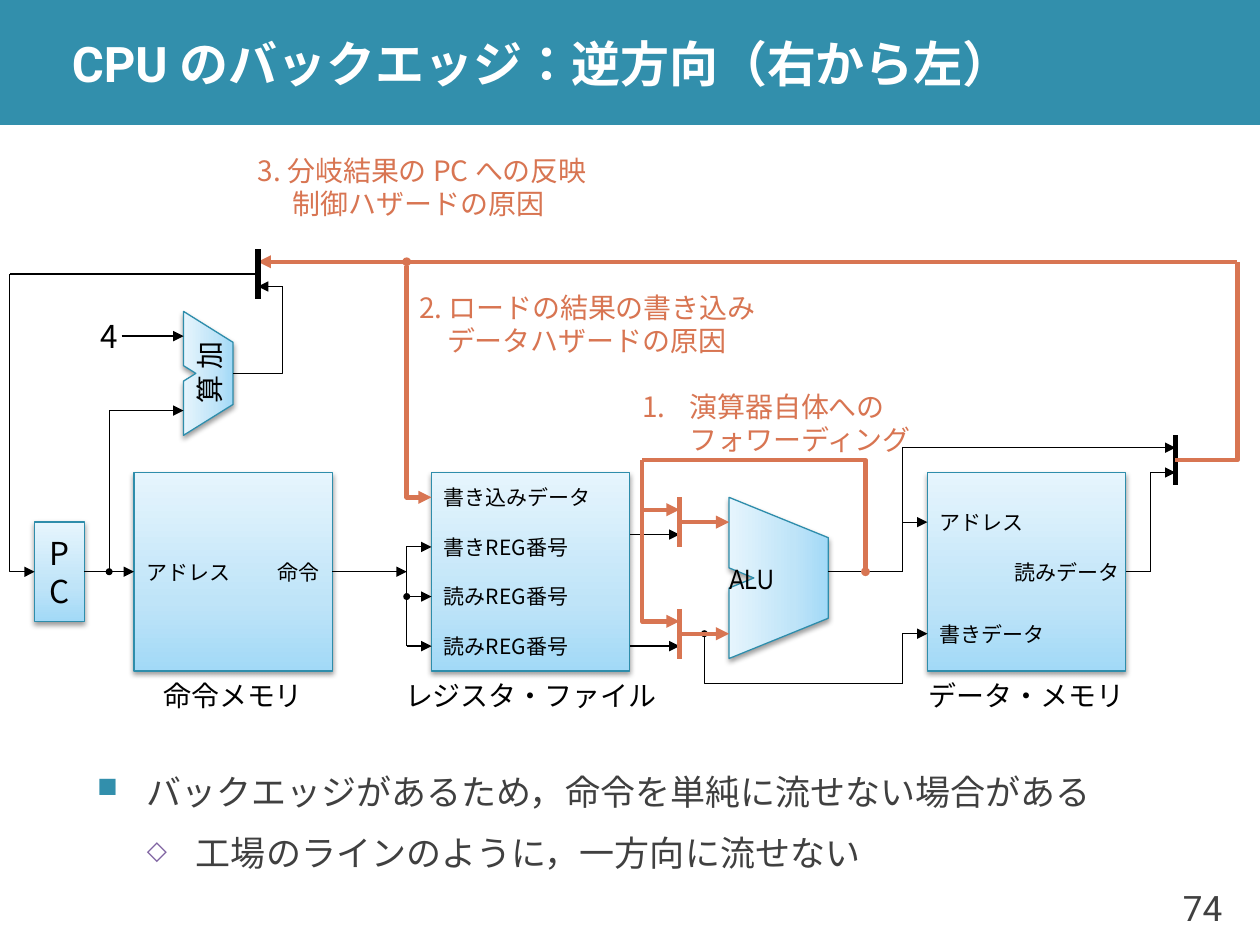
from copy import deepcopy
from lxml import etree
from pptx import Presentation, util as u
from pptx.dml.color import RGBColor
from pptx.enum import lang, shapes, text
from pptx.oxml.ns import qn

Pt = u.Pt
GRID, LEFT, TOP = 14.17, 5.7, 142.5  # half-centimetre grid of the diagram
INK, HOT, TEAL, GREY = "000000", "D87552", "328FAC", "404040"
CJK = "Noto Sans CJK JP"
AL = text.PP_ALIGN


def rgb(code):
    return RGBColor.from_string(code)


def gx(x):
    return LEFT + x * GRID


def gy(y):
    return TOP + y * GRID


def sub(node, tag, **attrs):
    """Append a DrawingML child element."""
    return etree.SubElement(node, qn("a:" + tag), attrs)


class Deck:
    def __init__(self):
        self.prs = Presentation()
        self.prs.slide_width, self.prs.slide_height = Pt(720), Pt(540)
        self.shapes = self.prs.slides.add_slide(self.prs.slide_layouts[6]).shapes

    def style(self, par, size, color=INK, font=CJK, bold=False, align=AL.LEFT, pitch=None):
        par.alignment = align
        if pitch:
            par.line_spacing = Pt(pitch)
        for run in par.runs:
            run.font.size, run.font.bold, run.font.name = Pt(size), bold, font
            run.font.color.rgb = rgb(color)
            run.font.language_id = lang.MSO_LANGUAGE_ID.JAPANESE
            sub(run.font._element, "ea", typeface=CJK)

    def hang(self, par, left, hang, mark=None, color=None, scale=100):
        """Set a hanging indent and, if given, a bullet character or number."""
        props = par._p.get_or_add_pPr()
        props.set("marL", str(Pt(left)))
        props.set("indent", str(-Pt(hang)))
        if color:
            sub(sub(props, "buClr"), "srgbClr", val=color)
            sub(props, "buSzPct", val=str(scale * 1000))
        if mark == "1.":
            sub(props, "buAutoNum", type="arabicPeriod")
        elif mark:
            sub(props, "buChar", char=mark)

    def label(self, words, x, y, w, h, size, inset=0, **look):
        frame = self.shapes.add_textbox(Pt(x), Pt(y), Pt(w), Pt(h)).text_frame
        frame.word_wrap = True
        frame.vertical_anchor = text.MSO_ANCHOR.MIDDLE
        frame.margin_left = frame.margin_right = Pt(inset)
        frame.margin_top = frame.margin_bottom = 0
        frame.text = words
        for par in frame.paragraphs:
            self.style(par, size, **look)
        return frame

    def port(self, words, x, y, align=AL.LEFT):
        """Name a port inside a block; x is the edge the text is set from."""
        start = x - 8 if align == AL.RIGHT else x
        self.label(words, gx(start), gy(y), 8 * GRID, 2 * GRID, 12, 7.2, align=align)

    def note(self, words, x, y, left, mark=None):
        frame = self.label(words, gx(x), gy(y), 260, 2 * GRID, 16, color=HOT, pitch=19)
        self.hang(frame.paragraphs[0], left, left, mark)

    def glaze(self, shape):
        """Give a block its pale gradient, thin outline and soft shadow."""
        shape.fill.gradient()
        stops = shape.element.spPr.find(".//" + qn("a:gsLst"))
        stops.append(deepcopy(stops[-1]))
        shades = (0, "A2D9F7"), (0.35, "BFE4F8"), (1, "E6F5FD")
        for stop, (place, code) in zip(shape.fill.gradient_stops, shades):
            stop.position, stop.color.rgb = place, rgb(code)
        shape.fill.gradient_angle = 90
        shape.line.color.rgb, shape.line.width = rgb("2E8DAB"), Pt(0.75)
        shape.shadow.inherit = False
        glow = sub(shape.element.spPr.find(qn("a:effectLst")), "outerShdw",
                   blurRad=str(Pt(3.1)), dist=str(Pt(1.6)), dir="5400000", rotWithShape="0")
        sub(sub(glow, "srgbClr", val=INK), "alpha", val="38000")

    def inner(self, shape, words, size, **look):
        frame = shape.text_frame
        frame.word_wrap = True
        frame.vertical_anchor = text.MSO_ANCHOR.MIDDLE
        frame.text = words
        self.style(frame.paragraphs[0], size, align=AL.CENTER, **look)
        return frame

    def block(self, x, y, w, h):
        box = self.shapes.add_shape(shapes.MSO_SHAPE.RECTANGLE, Pt(gx(x)), Pt(gy(y)),
                                    Pt(w * GRID), Pt(h * GRID))
        self.glaze(box)
        return box

    def unit(self, words, x, y, w, h, **look):
        """Draw a notched arithmetic unit, built upright and turned to face right."""
        cx, cy = gx(x + w / 2), gy(y + h / 2)
        edge = [(0, 0), (1, 1 / 4), (1, 3 / 4), (0, 1), (0, 9 / 16), (1 / 4, 1 / 2), (0, 7 / 16)]
        pts = [(Pt(cx - (b - 0.5) * h * GRID), Pt(cy + (a - 0.5) * w * GRID)) for a, b in edge]
        form = self.shapes.build_freeform(*pts[0])
        form.add_line_segments(pts[1:], close=True)
        shape = form.convert_to_shape()
        shape.rotation = 270
        self.glaze(shape)
        frame = self.inner(shape, words, 16, **look)
        frame._txBody.bodyPr.set("vert", "eaVert")
        return frame

    def wire(self, *pts, color=INK, width=None, head=None, tail="triangle", start=None, end=None):
        """Run a line through grid points; start and end are blocks to join."""
        pts = [(Pt(gx(x)), Pt(gy(y))) for x, y in pts]
        if len(pts) == 2:
            line = self.shapes.add_connector(shapes.MSO_CONNECTOR.STRAIGHT, *pts[0], *pts[1])
            if start:
                line.begin_connect(start, 3)
            if end:
                line.end_connect(end, 1)
        else:
            form = self.shapes.build_freeform(*pts[0])
            form.add_line_segments(pts[1:], close=False)
            line = form.convert_to_shape()
            line.fill.background()
        thin = 0.75 if len(pts) == 2 else 0.5
        line.line.color.rgb = rgb(color)
        line.line.width = Pt(width or (2.5 if color == HOT else thin))
        props = line.element.spPr
        for tag, kind, size in ("headEnd", head, "sm"), ("tailEnd", tail, "med"):
            if kind:
                sub(props.find(qn("a:ln")), tag, type=kind, w=size, len=size)
        sub(props, "effectLst")


def main():
    d = Deck()
    band = d.shapes.add_shape(shapes.MSO_SHAPE.RECTANGLE, 0, 0, Pt(720), Pt(71.4))
    band.shadow.inherit = False
    band.fill.solid()
    band.fill.fore_color.rgb = rgb(TEAL)
    band.line.fill.background()
    d.label("74", 640, 497, 65.6, 43, 20, 7.2, color=GREY, font="Roboto", align=AL.RIGHT)
    d.label("CPU のバックエッジ：逆方向（右から左）", 34, 0, 686, 71.4, 28, 7.2,
            color="FFFFFF", font="Roboto", bold=True)
    body = d.label("バックエッジがあるため，命令を単純に流せない場合がある\n"
                   "工場のラインのように，一方向に流せない",
                   48.4, 440, 652, 57, 20, 7.2, color=GREY, font="Roboto", pitch=26.4)
    first, second = body.paragraphs
    first.space_after, second.space_before = Pt(6), Pt(3)
    d.hang(first, 28, 28, "■", TEAL, 80)
    d.hang(second, 56.5, 28, "◇", "8064A2", 75)

    code, regs, data = [d.block(x, 9, 8, 8) for x in (5, 17, 37)]
    alu = d.unit("ALU", 29, 10, 4, 6.5, font="Arial Narrow")
    alu.word_wrap = False
    alu.margin_top, alu.margin_bottom = 0, Pt(17.4)
    pc = d.block(1, 11, 2, 4)
    d.inner(pc, "PC", 18, pitch=22)
    d.unit("加算", 7, 2.5, 2, 5)

    # Fetch
    d.wire((3, 13), (5, 13), start=pc, end=code)
    d.wire((4, 13), (4, 6.5), (7, 6.5), head="oval")
    d.wire((4.5, 3.5), (7, 3.5))
    d.label("4", gx(3), gy(2.5), 2 * GRID, 2 * GRID, 18, align=AL.CENTER)
    d.wire((0, 1), (0, 13), (1, 13))
    d.wire((9, 5), (11, 5), (11, 1.5), tail=None)
    d.wire((0, 1), (10, 1), tail=None)

    # Decode and register read
    d.wire((13, 13), (16, 13), start=code)
    d.wire((16, 16), (16, 12), (17, 12))
    d.wire((16, 14), (17, 14), head="oval")
    d.wire((16, 16), (17, 16))
    d.wire((16, 0.5), (16, 10), (17, 10), color=HOT, head="oval")

    # Execute and memory access
    d.wire((45, 13), (46, 13), tail=None, start=data)
    d.wire((46, 13), (46, 9), (47, 9))
    d.wire((33, 13), (36, 13), tail=None)
    d.wire((25, 11.5), (27, 11.5))
    d.wire((25, 16), (27, 16))
    d.wire((28, 15.5), (28, 17.5), (36, 17.5), head="oval", tail=None)
    for low, high, stop in (17.5, 15.5, 37), (13, 11, 37), (11, 8, 47):
        d.wire((36, low), (36, high), (stop, high))

    # Write back and next PC
    d.wire((47, 7.5), (47, 9.5), width=3, tail=None)
    d.wire((49.5, 0.5), (10, 0.5), color=HOT)
    d.wire((47, 8.5), (49.5, 8.5), (49.5, 0.5), color=HOT, tail=None)
    d.wire((10, 0), (10, 2), width=3, tail=None)
    d.wire((11, 1.5), (10, 1.5))

    for words, x, y in (("アドレス", 5, 12), ("書き込みデータ", 17, 9), ("書きREG番号", 17, 11),
                        ("読みREG番号", 17, 13), ("読みREG番号", 17, 15), ("アドレス", 37, 10),
                        ("書きデータ", 37, 14.5), ("読みデータ", 40, 12)):
        d.port(words, x, y)
    d.port("命令", 13, 12, AL.RIGHT)
    for words, x in ("命令メモリ", 5), ("レジスタ・ファイル", 17), ("データ・メモリ", 37):
        d.label(words, gx(x - 2), gy(17), 12 * GRID, 2 * GRID, 16, align=AL.CENTER)

    d.note("3. 分岐結果の PC への反映\v制御ハザードの原因", 10, -3.5, 20)
    d.note("2. ロードの結果の書き込み\vデータハザードの原因", 16.5, 2, 16)
    d.note("演算器自体への\vフォワーディング", 25.5, 6, 27, "1.")

    # Forwarding
    d.wire((34.5, 13), (34.5, 8.5), (25.5, 8.5), color=HOT, head="oval", tail=None)
    for top, mid in (10, 11), (14.5, 15.5):
        d.wire((27, mid), (29, mid), color=HOT)
        d.wire((27, top), (27, top + 2), color=HOT, tail=None)
        d.wire((25.5, 8.5), (25.5, top + 0.5), (27, top + 0.5), color=HOT)
    d.prs.save("out.pptx")


if __name__ == "__main__":
    main()
